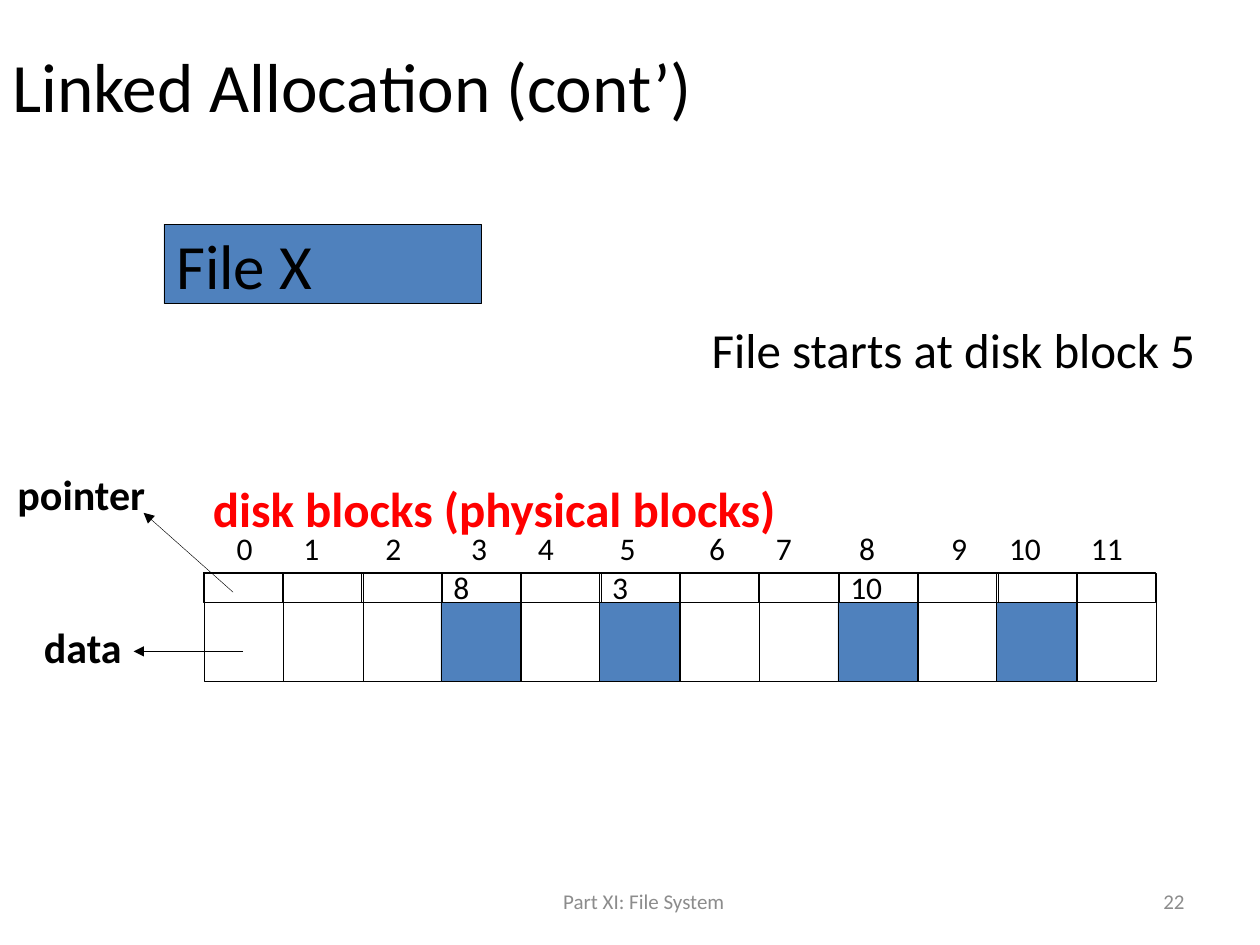
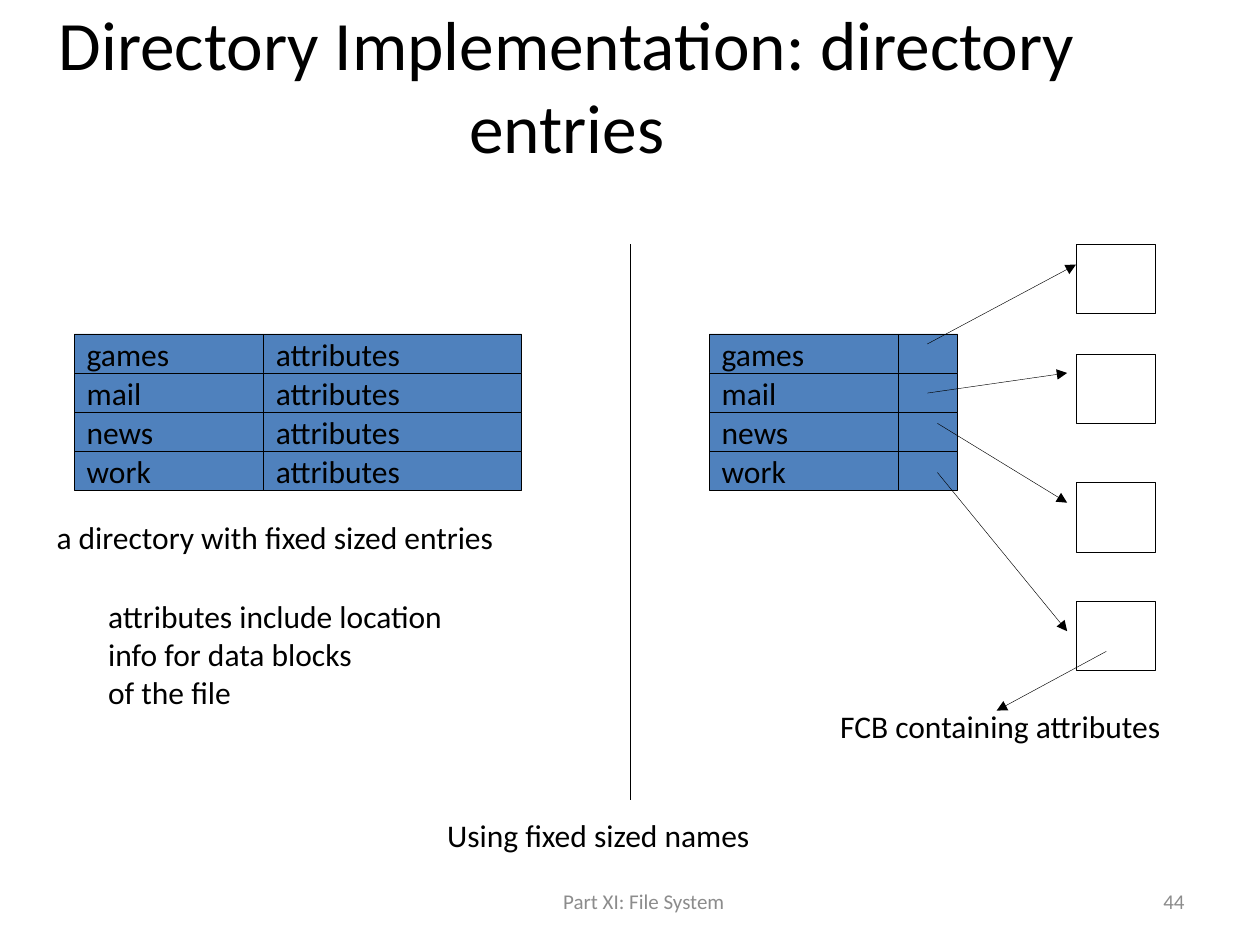
from lxml.etree import SubElement
from pptx import Presentation
from pptx.dml.color import RGBColor
from pptx.enum.shapes import MSO_CONNECTOR, MSO_SHAPE
from pptx.enum.text import MSO_ANCHOR, PP_ALIGN
from pptx.oxml.ns import qn
from pptx.util import Inches, Pt

HUES = {"ink": "000000", "blue": "4F81BD", "red": "FF0000", "grey": "8C8C8C"}
FONT = "Calibri"
LEFT, MID, RIGHT = PP_ALIGN.LEFT, PP_ALIGN.CENTER, PP_ALIGN.RIGHT
FOOT = "Part XI: File System"

LINKED = {
    "title": "Linked Allocation (cont’)",
    "page": "22",
    "marks": [1.78, 2.31, 2.96, 3.64, 4.17, 4.82, 5.53, 6.06, 6.72, 7.45, 7.91, 8.56],
    "next": {3: "8", 5: "3", 8: "10"},
    "used": [3, 5, 8, 10],
    "notes": [
        ("disk blocks (physical blocks)", 1.59, 3.75, 4.72, 0.57, 28, "red", True),
        ("File starts at disk block 5", 5.55, 2.49, 4.08, 0.57, 28, "ink", False),
        ("data", 0.25, 4.88, 0.82, 0.51, 24, "ink", True),
        ("pointer", 0.04, 3.67, 1.22, 0.51, 24, "ink", True),
    ],
    "arrows": [(1.85, 4.7, 1.14, 4.07), (1.93, 5.17, 1.06, 5.17)],
}
ENTRIES = {
    "title": "Directory Implementation: directory entries",
    "page": "44",
    "names": ["games", "mail", "news", "work"],
    "fcbs": [1.94, 2.81, 3.83, 4.77],
    "notes": [
        ("a directory with fixed sized entries", 0.35, 4.06, 3.95, 0.4),
        ("attributes include location\ninfo for data blocks\nof the file", 0.76, 4.69, 3.09, 1),
        ("FCB containing attributes", 6.57, 5.56, 3, 0.4),
        ("Using fixed sized names", 3.45, 6.43, 2.91, 0.4),
    ],
    "arrows": [
        (8.78, 5.17, 7.91, 5.64),
        (7.36, 2.73, 8.54, 2.1),
        (7.36, 3.12, 8.47, 2.96),
        (7.44, 3.36, 8.47, 3.99),
        (7.44, 3.75, 8.47, 5.01),
    ],
}


def tint(name):
    return RGBColor.from_string(HUES[name])


def write(frame, text, size=18, hue="ink", bold=False, align=LEFT, anchor=MSO_ANCHOR.TOP, wrap=False):
    frame.word_wrap = wrap
    frame.vertical_anchor = anchor
    frame.margin_left = frame.margin_right = Inches(0.1)
    frame.margin_top = frame.margin_bottom = Inches(0.05)
    for i, line in enumerate(text.split("\n")):
        para = frame.add_paragraph() if i else frame.paragraphs[0]
        para.alignment = align
        run = para.add_run()
        run.text = line
        run.font.name = FONT
        run.font.size = Pt(size)
        run.font.bold = bold
        run.font.color.rgb = tint(hue)


def label(slide, text, x, y, w, h, size=18, hue="ink", bold=False, **more):
    box = slide.shapes.add_textbox(Inches(x), Inches(y), Inches(w), Inches(h))
    write(box.text_frame, text, size, hue, bold, **more)


def cell(slide, x, y, w, h, text="", fill=None, size=18):
    box = slide.shapes.add_shape(MSO_SHAPE.RECTANGLE, Inches(x), Inches(y), Inches(w), Inches(h))
    box.shadow.inherit = False
    if fill:
        box.fill.solid()
        box.fill.fore_color.rgb = tint(fill)
    else:
        box.fill.background()
    box.line.color.rgb = tint("ink")
    box.line.width = Pt(0.25)
    if text:
        write(box.text_frame, text, size, anchor=MSO_ANCHOR.MIDDLE, wrap=True)


def rule(slide, x1, y1, x2, y2, arrow=True):
    line = slide.shapes.add_connector(
        MSO_CONNECTOR.STRAIGHT, Inches(x1), Inches(y1), Inches(x2), Inches(y2))
    line.line.color.rgb = tint("ink")
    line.line.width = Pt(0.25)
    if arrow:
        SubElement(line.line._get_or_add_ln(), qn("a:tailEnd"), type="triangle")
    SubElement(line._element.spPr, qn("a:effectLst"))


def start(deck, data, align):
    slide = deck.slides.add_slide(deck.slide_layouts[6])
    fit = {"anchor": MSO_ANCHOR.MIDDLE, "wrap": True}
    label(slide, FOOT, 3.42, 6.95, 3.38, 0.4, 12, "grey", align=MID, **fit)
    label(slide, data["page"], 7.17, 6.95, 2.33, 0.4, 12, "grey", align=RIGHT, **fit)
    label(slide, data["title"], 0, 0.31, 9, 0.72, 39.6, align=align, **fit)
    return slide


def finish(slide, data):
    for note in data["notes"]:
        label(slide, *note)
    for ends in data["arrows"]:
        rule(slide, *ends)


def linked(deck):
    slide = start(deck, LINKED, LEFT)
    side, top, head = 0.63, 4.54, 0.24
    for i, mark in enumerate(LINKED["marks"]):
        x = 1.61 + side * i
        cell(slide, x + 0.01, top + 0.01, side, 0.86)
        cell(slide, x, top, side, head, LINKED["next"].get(i, ""))
        if i in LINKED["used"]:
            cell(slide, x, top + head, side, side, fill="blue")
        label(slide, str(i), mark, 4.15, 0.34 if i < 10 else 0.48, 0.4)
    cell(slide, 1.3, 1.78, 2.52, 0.63, "File X", "blue", 36)
    finish(slide, LINKED)


def entries(deck):
    slide = start(deck, ENTRIES, MID)
    for i, name in enumerate(ENTRIES["names"]):
        y = 2.65 + 0.31 * i
        row = [(0.59, 1.5, name), (2.09, 2.05, "attributes"), (5.63, 1.5, name), (7.13, 0.47, "")]
        for x, w, text in row:
            cell(slide, x, y, w, 0.31, text, "blue")
    for y in ENTRIES["fcbs"]:
        cell(slide, 8.54, y, 0.63, 0.55)
    rule(slide, 5, 1.94, 5, 6.35, arrow=False)
    finish(slide, ENTRIES)


def main():
    deck = Presentation()
    deck.slide_width, deck.slide_height = Inches(10), Inches(7.5)
    linked(deck)
    entries(deck)
    deck.save("out.pptx")


if __name__ == "__main__":
    main()
